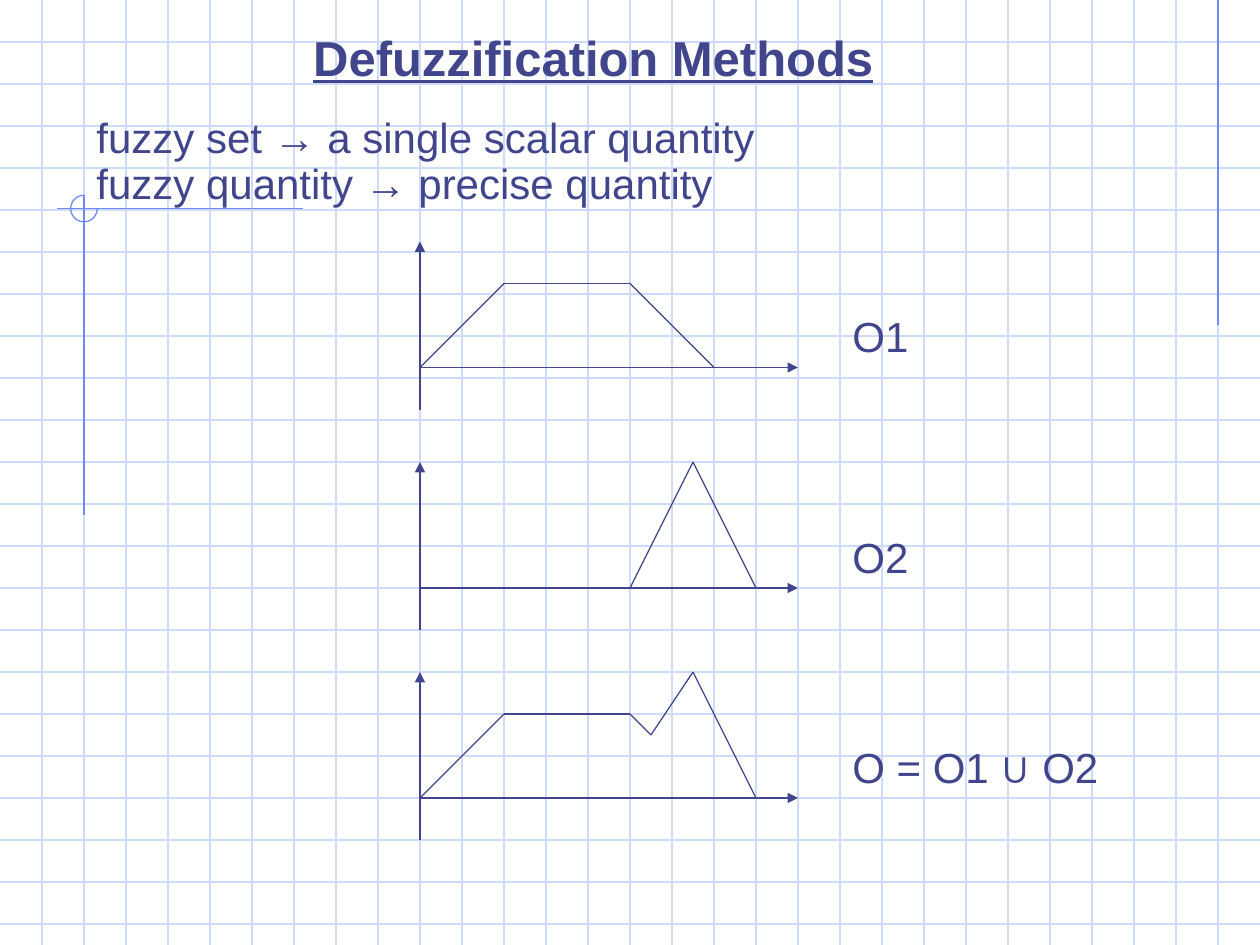
from itertools import pairwise

from lxml.etree import SubElement
from pptx import Presentation
from pptx.dml.color import RGBColor
from pptx.enum.shapes import MSO_CONNECTOR, MSO_SHAPE
from pptx.enum.text import PP_ALIGN
from pptx.oxml.ns import qn
from pptx.util import Pt

INK = RGBColor(0x40, 0x45, 0x8C)
GRID = RGBColor(0xCF, 0xDB, 0xFD)
ACCENT = RGBColor(0x6F, 0x89, 0xF7)
WIDTH, HEIGHT, STEP = 720, 540, 24

TRAPEZOID = [(0, 72), (48, 24), (120, 24), (168, 72)]
TRIANGLE = [(120, 72), (156, 0), (192, 72)]
UNION = [(0, 72), (48, 24), (120, 24), (132, 36), (156, 0), (192, 72)]


def add_line(slide, start, end, color, arrow=False):
    """Draw a thin straight line, with an arrowhead at its end if asked."""
    line = slide.shapes.add_connector(
        MSO_CONNECTOR.STRAIGHT, *(Pt(value) for value in (*start, *end)))
    line.line.color.rgb = color
    line.line.width = Pt(0.75)
    properties = line._element.spPr
    if arrow:
        SubElement(properties.find(qn("a:ln")), qn("a:tailEnd"), type="triangle")
    SubElement(properties, qn("a:effectLst"))


def add_text(slide, left, top, width, height, lines, size=24, align=PP_ALIGN.LEFT):
    """Place lines of text in a wrapping box and return its paragraphs."""
    frame = slide.shapes.add_textbox(
        Pt(left), Pt(top), Pt(width), Pt(height)).text_frame
    frame.word_wrap = True
    frame.text = "\n".join(lines)
    for paragraph in frame.paragraphs:
        paragraph.alignment = align
        for run in paragraph.runs:
            run.font.name = "Arial"
            run.font.size = Pt(size)
            run.font.color.rgb = INK
    return frame.paragraphs


def add_graph_paper(slide, left, top, width, height):
    """Rule the box with evenly spaced lines both ways."""
    for y in range(top + STEP, top + height, STEP):
        add_line(slide, (left, y), (left + width, y), GRID)
    for x in range(left + STEP, left + width, STEP):
        add_line(slide, (x, top), (x, top + height), GRID)


def add_margin_marks(slide, left, top, width, height):
    """Draw the accent lines and the open circle at their crossing."""
    cross_x, cross_y, radius = left + 48, top + 119.2, 7.6
    right = left + width - STEP
    add_line(slide, (right, top), (right, top + 186), ACCENT)
    add_line(slide, (left + 173, cross_y), (left + 32.5, cross_y), ACCENT)
    add_line(slide, (cross_x, cross_y - radius), (cross_x, top + 294.5), ACCENT)
    circle = slide.shapes.add_shape(
        MSO_SHAPE.ARC, Pt(cross_x - radius), Pt(cross_y - radius),
        Pt(2 * radius), Pt(2 * radius))
    circle.adjustments[0] = 0
    circle.adjustments[1] = 162
    circle.shadow.inherit = False
    circle.fill.background()
    circle.line.color.rgb = ACCENT
    circle.line.width = Pt(0.75)


def add_title(slide, left, top, width, height):
    """Write the underlined heading."""
    heading, = add_text(slide, left, top, width, height,
                        ["Defuzzification Methods"], 28, PP_ALIGN.CENTER)
    heading.runs[0].font.bold = True
    heading.runs[0].font.underline = True


def add_definitions(slide, left, top, width, height):
    """Write the two statements of what defuzzification does."""
    statements = add_text(
        slide, left, top, width, height,
        ["fuzzy set → a single scalar quantity",
         "fuzzy quantity → precise quantity"], align=PP_ALIGN.JUSTIFY)
    statements[1].space_before = Pt(15)
    statements[1].line_spacing = 0.3


def add_membership_plot(slide, left, top, width, height, outline, label, label_width):
    """Draw axes, a membership outline and its label to the right."""
    baseline = top + height - STEP
    add_line(slide, (left, top + height), (left, top), INK, arrow=True)
    add_line(slide, (left, baseline), (left + width, baseline), INK, arrow=True)
    corners = [(left + x, top + y) for x, y in outline]
    for start, end in pairwise(corners):
        add_line(slide, start, end, INK)
    add_text(slide, left + width + STEP, baseline - 36, label_width, 36, [label])


def main():
    """Build and save the slide."""
    deck = Presentation()
    deck.slide_width, deck.slide_height = Pt(WIDTH), Pt(HEIGHT)
    slide = deck.slides.add_slide(deck.slide_layouts[6])
    add_graph_paper(slide, 0, 0, WIDTH, HEIGHT)
    add_margin_marks(slide, 0, 0, WIDTH, HEIGHT)
    add_title(slide, 102, 12, 474, 41)
    add_definitions(slide, 48, 60, 594, 60)
    for top, outline, label, label_width in (
            (138, TRAPEZOID, "O1", 60),
            (264, TRIANGLE, "O2", 60),
            (384, UNION, "O = O1 ∪ O2", 168)):
        add_membership_plot(slide, 240, top, 216, 96, outline, label, label_width)
    deck.save("out.pptx")


if __name__ == "__main__":
    main()
